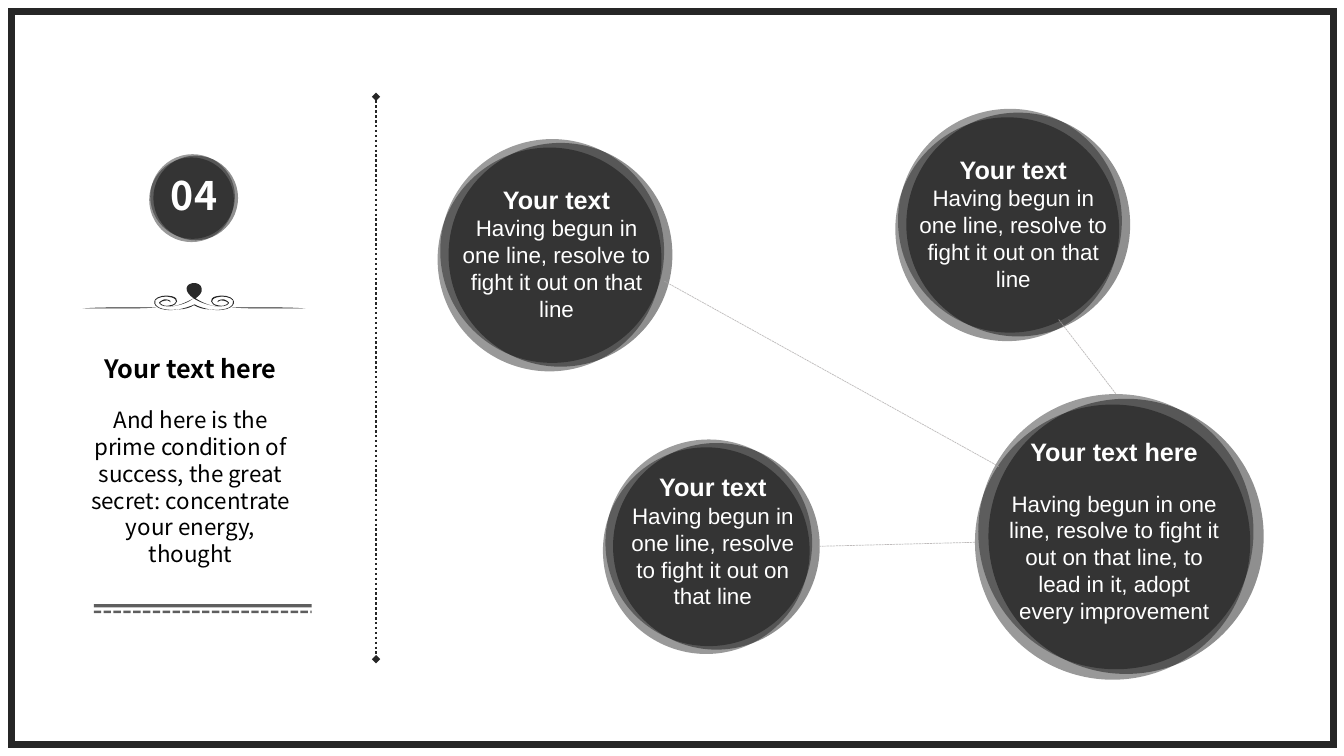
import dataclasses
import pptx
import pptx.util
import pptx.dml.color
import pptx.enum.dml
import pptx.enum.shapes
import pptx.enum.text
import pptx.oxml.ns
import lxml.etree

Inches = pptx.util.Inches
Pt = pptx.util.Pt
qn = pptx.oxml.ns.qn
SHAPE = pptx.enum.shapes.MSO_SHAPE
DASH = pptx.enum.dml.MSO_LINE


@dataclasses.dataclass(frozen=True)
class Theme:
    black: str = "000000"
    white: str = "FFFFFF"
    frame: str = "262626"
    rule: str = "404040"
    link: str = "AFABAB"
    sans: str = "Noto Sans CJK SC"
    arial: str = "Arial"
    number: float = 28
    heading: float = 18
    body: float = 16
    gap: float = 16.5


T = Theme()
LAYERS = ((0.012, 0, 39), (0.049, 0.017, 44), (0, 0.038, 40))
SHORT_TEXT = "Having begun in one line, resolve to fight it out on that line"
LONG_TEXT = ("Having begun in one line, resolve to fight it out on that line, "
             "to lead in it, adopt every improvement")
SIDE_TEXT = ("And here is the prime condition of success, the great secret: "
             "concentrate your energy, thought")
BUBBLES = (
    ((4.34, 1.38, 2.22), (0.13, 0.4, 2.1, 1.48), "Your text", SHORT_TEXT, 0),
    ((9.67, 3.91, 2.73), (0.24, 0.37, 2.28, 2.26), "Your text here", LONG_TEXT, T.gap),
    ((8.88, 1.08, 2.22), (0.12, 0.4, 2.1, 1.48), "Your text", SHORT_TEXT, 0),
    ((5.98, 4.36, 2.05), (0.12, 0.27, 1.94, 1.75), "Your text", SHORT_TEXT, 0),
)
LINKS = ((6.59, 2.79, 9.91, 4.63), (8.12, 5.42, 9.67, 5.38), (10.5, 3.17, 11.07, 3.91))
ORNAMENT_WIDTH = 221
HEART = ((110, 17), (106, 14), (103, 11), (103, 7), (104, 0), (117, 0), (118, 7),
         (119, 11), (116, 14), (112, 17), (117, 20), (124, 24), (133, 25),
         (125, 24), (116, 21), (110, 17), (105, 21), (97, 24), (88, 25),
         (97, 24), (104, 20), (110, 17))
STROKE = ((184, 27), (173, 27), (160, 27), (148, 26), (161, 26), (173, 26), (184, 26),
          (196, 26), (208, 26), (221, 27), (208, 27), (184, 27), (184, 27))
SWIRL = ((111, 24), (114, 26), (120, 28), (126, 28), (146, 31), (153, 23), (149, 18),
         (147, 15), (139, 13), (132, 15), (125, 17), (126, 23), (134, 25),
         (138, 25), (143, 25), (145, 22), (146, 21), (143, 19), (140, 18),
         (136, 18), (133, 19), (134, 21), (134, 21), (135, 19), (137, 19),
         (141, 19), (145, 21), (144, 22), (142, 24), (138, 25), (135, 24),
         (127, 23), (126, 18), (133, 16), (139, 14), (147, 16), (149, 19),
         (151, 24), (144, 30), (126, 28), (121, 27), (114, 25), (111, 23))


def set_alpha(fill, alpha):
    clr = fill._xPr.find(".//" + qn("a:srgbClr"))
    lxml.etree.SubElement(clr, qn("a:alpha"), val=str(alpha * 1000))


def paint(fill, color, alpha=100):
    fill.solid()
    fill.fore_color.rgb = pptx.dml.color.RGBColor.from_string(color)
    if alpha < 100:
        set_alpha(fill, alpha)


def add_line(s, ends, color, width, dash, alpha=100, tips=None):
    cx = s.shapes.add_connector(pptx.enum.shapes.MSO_CONNECTOR.STRAIGHT, *map(Inches, ends))
    paint(cx.line.fill, color, alpha)
    cx.line.width = Pt(width)
    cx.line.dash_style = dash
    if tips:
        ln = cx.line._get_or_add_ln()
        for tag in ("a:headEnd", "a:tailEnd"):
            lxml.etree.SubElement(ln, qn(tag), type=tips)
    lxml.etree.SubElement(cx._element.spPr, qn("a:effectLst"))


def place(sp, box):
    sp.left, sp.top, sp.width, sp.height = map(Inches, box)


def write(sp, lines, font, color):
    tf = sp.text_frame
    tf.word_wrap = True
    tf.auto_size = pptx.enum.text.MSO_AUTO_SIZE.SHAPE_TO_FIT_TEXT
    tf.vertical_anchor = pptx.enum.text.MSO_ANCHOR.TOP
    for i, (text, size, bold, gap) in enumerate(lines):
        p = tf.add_paragraph() if i else tf.paragraphs[0]
        p.text = text
        p.alignment = pptx.enum.text.PP_ALIGN.CENTER
        p.space_before = Pt(gap)
        p.font.name = font
        p.font.size = Pt(size)
        p.font.bold = bold
        p.font.color.rgb = pptx.dml.color.RGBColor.from_string(color)


def text_lines(heading, body, gap):
    return (heading, T.heading, True, 0), (body, T.body, False, gap)


def add_disc(s, x, y, size):
    for dx, dy, alpha in LAYERS:
        box = (x + dx * size, y + dy * size, size, size)
        sp = s.shapes.add_shape(SHAPE.OVAL, *map(Inches, box))
        sp.shadow.inherit = False
        sp.line.fill.background()
        paint(sp.fill, T.black, alpha)


def add_bubble(s, disc, text_box, heading, body, gap):
    x, y, size = disc
    dx, dy, w, h = text_box
    add_disc(s, x, y, size)
    tb = s.shapes.add_textbox(*map(Inches, (x + dx, y + dy, w, h)))
    write(tb, text_lines(heading, body, gap), T.arial, T.white)


def mirror(points):
    return tuple((ORNAMENT_WIDTH - x, y) for x, y in points)


def bend(sp):
    segments = list(sp._element.iter(qn("a:lnTo")))
    for i in range(0, len(segments), 3):
        curve = segments[i].makeelement(qn("a:cubicBezTo"))
        segments[i].addprevious(curve)
        for segment in segments[i:i + 3]:
            curve.append(segment[0])
            segment.getparent().remove(segment)


def add_ornament(s, x, y):
    swirls = SWIRL + mirror(SWIRL)[::-1][1:]
    for outline in (HEART, STROKE, mirror(STROKE), swirls):
        pts = [(1000 * x + 10 * px, 1000 * y + 10 * py) for px, py in outline]
        fb = s.shapes.build_freeform(*pts[0], scale=Inches(1) / 1000)
        fb.add_line_segments(pts[1:], close=True)
        sp = fb.convert_to_shape()
        bend(sp)
        sp.shadow.inherit = False
        sp.line.fill.background()
        paint(sp.fill, T.black, 84)


def add_frame(s, box):
    sp = s.shapes.add_shape(SHAPE.RECTANGLE, *map(Inches, box))
    sp.shadow.inherit = False
    sp.fill.background()
    paint(sp.line.fill, T.frame)
    sp.line.width = Pt(5)
    lxml.etree.SubElement(sp.line._get_or_add_ln(), qn("a:miter"), lim="800000")


def add_sidebar(s, x, y):
    add_line(s, (x + 2.98, y - 0.57, x + 2.98, y + 5.01), T.frame, 1.75,
             DASH.ROUND_DOT, tips="diamond")
    add_disc(s, x + 0.73, y, 0.84)
    title = s.shapes.title
    place(title, (x + 0.61, y + 0.12, 1.13, 0.57))
    write(title, [("04", T.number, True, 0)], T.sans, T.white)
    s.shapes._spTree.append(title._element)
    add_ornament(s, x + 0.07, y + 1.26)
    body = s.placeholders[1]
    place(body, (x, y + 1.92, 2.28, 2.56))
    write(body, text_lines("Your text here", SIDE_TEXT, T.gap), T.sans, T.black)
    s.shapes._spTree.append(body._element)
    for p in body.text_frame.paragraphs:
        pPr = p._p.get_or_add_pPr()
        pPr.set("marL", "0")
        pPr.set("indent", "0")
        pPr.insert_element_before(pPr.makeelement(qn("a:buNone")),
                                  "a:tabLst", "a:defRPr", "a:extLst")
    for dy, width, dash in ((4.54, 1.75, DASH.SQUARE_DOT), (4.48, 2.25, DASH.SOLID)):
        add_line(s, (x + 0.18, y + dy, x + 2.34, y + dy), T.rule, width, dash, 83)


def main():
    prs = pptx.Presentation()
    prs.slide_width, prs.slide_height = Inches(13.33), Inches(7.5)
    s = prs.slides.add_slide(prs.slide_layouts[1])
    add_frame(s, (0.11, 0.11, 13.12, 7.28))
    add_sidebar(s, 0.75, 1.53)
    for bubble in BUBBLES:
        add_bubble(s, *bubble)
    for ends in LINKS:
        add_line(s, ends, T.link, 0.5, DASH.SQUARE_DOT, 80)
    prs.save("out.pptx")


if __name__ == "__main__":
    main()
